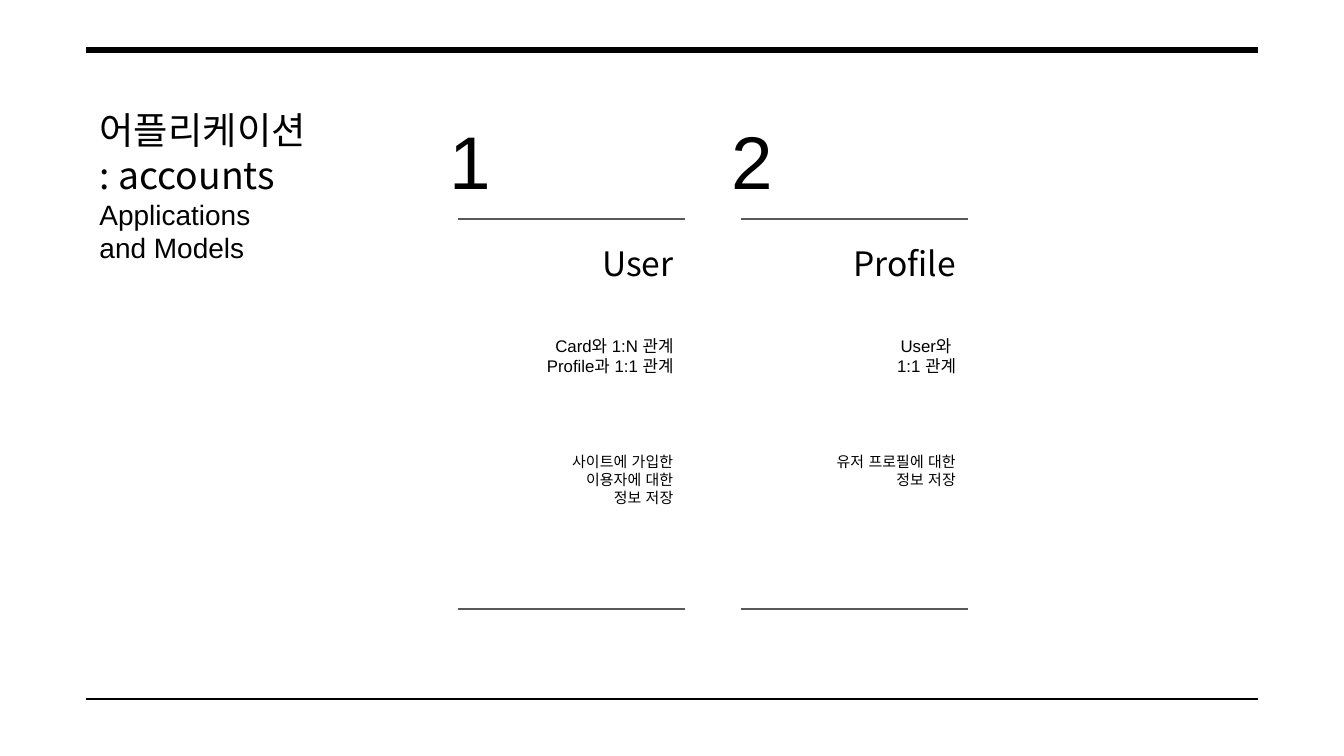
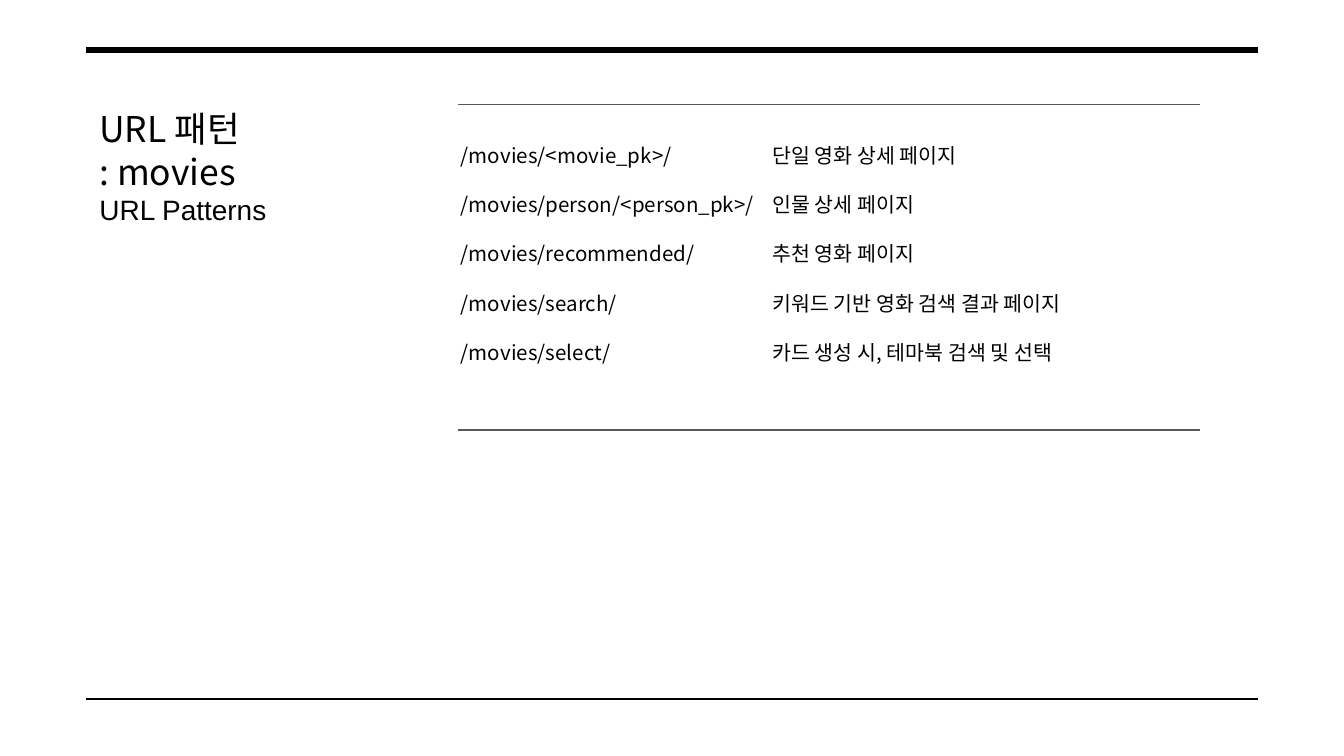
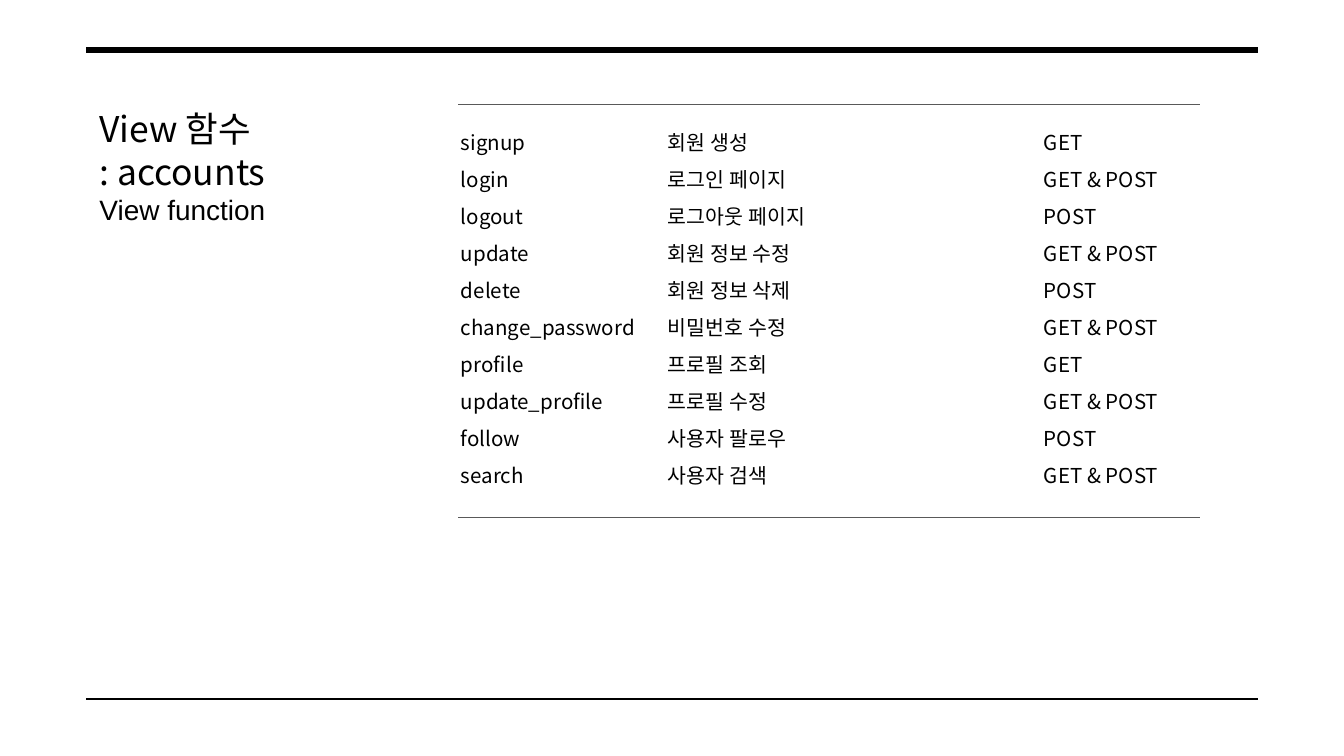
import dataclasses

import lxml.etree
import pptx
import pptx.dml.color
import pptx.enum.shapes
import pptx.enum.text
import pptx.oxml.ns
import pptx.util

Cm = pptx.util.Cm
Pt = pptx.util.Pt
Align = pptx.enum.text.PP_ALIGN


@dataclasses.dataclass(frozen=True)
class Theme:
    ink: str = "000000"
    grey: str = "595959"
    paper: str = "FFFFFF"
    latin: str = "Arial"
    hangul: str = "Noto Sans CJK KR"
    head: int = 19
    sub: int = 15
    digit: int = 40
    name: int = 18
    link: int = 9
    note: int = 8
    item: int = 11
    thin: float = 0.75
    thick: float = 3


class Deck:
    def __init__(self, theme):
        self.theme = theme
        self.file = pptx.Presentation()
        self.file.slide_width = Cm(25.4)
        self.file.slide_height = Cm(14.29)
        self.slide = None

    def page(self, layout, heads, subs, size=None):
        theme = self.theme
        self.slide = self.file.slides.add_slide(self.file.slide_layouts.get_by_name(layout))
        fill = self.slide.background.fill
        fill.solid()
        fill.fore_color.rgb = pptx.dml.color.RGBColor.from_string(theme.paper)
        self.rule(1.63, 23.77, 13.21, theme.ink)
        self.rule(1.63, 23.77, 0.94, theme.ink, theme.thick)
        title = self.slide.shapes.title
        self.place(title, 1.63, 1.78, 6.83, 2.82)
        rows = [(text, size or theme.head, theme.hangul) for text in heads]
        rows += [(text, theme.sub, theme.latin) for text in subs]
        self.fill(title, rows)

    def rule(self, left, right, top, color, width=None):
        line = self.slide.shapes.add_connector(
            pptx.enum.shapes.MSO_CONNECTOR.STRAIGHT, Cm(left), Cm(top), Cm(right), Cm(top))
        line.line.color.rgb = pptx.dml.color.RGBColor.from_string(color)
        line.line.width = Pt(width or self.theme.thin)
        lxml.etree.SubElement(line._element.spPr, pptx.oxml.ns.qn("a:effectLst"))

    def place(self, shape, left, top, width, height):
        shape.left, shape.top = Cm(left), Cm(top)
        shape.width, shape.height = Cm(width), Cm(height)

    def fill(self, shape, rows, align=Align.LEFT, space=1.0):
        frame = shape.text_frame
        frame.word_wrap = True
        frame.auto_size = pptx.enum.text.MSO_AUTO_SIZE.NONE
        frame.vertical_anchor = pptx.enum.text.MSO_ANCHOR.TOP
        frame.margin_left = frame.margin_right = Cm(0.25)
        frame.margin_top = frame.margin_bottom = Cm(0.25)
        for place, (text, size, font) in enumerate(rows):
            para = frame.add_paragraph() if place else frame.paragraphs[0]
            props = para._p.get_or_add_pPr()
            props.set("marL", "0")
            props.set("indent", "0")
            lxml.etree.SubElement(props, pptx.oxml.ns.qn("a:buNone"))
            para.alignment = align
            para.line_spacing = space
            para.space_before = para.space_after = Pt(0)
            self.run(para, text, size, font)

    def run(self, para, text, size, font):
        run = para.add_run()
        run.text = text
        run.font.size = Pt(size)
        run.font.bold = False
        run.font.color.rgb = pptx.dml.color.RGBColor.from_string(self.theme.ink)
        run.font.name = font
        east = lxml.etree.Element(pptx.oxml.ns.qn("a:ea"), typeface=font)
        run._r.get_or_add_rPr().find(pptx.oxml.ns.qn("a:latin")).addnext(east)

    def text(self, area, lines, size, font, align=Align.RIGHT):
        box = self.slide.shapes.add_textbox(*map(Cm, area))
        self.fill(box, [(line, size, font) for line in lines], align)

    def card(self, left, digit, name, links, notes, wide):
        theme = self.theme
        edge = left + 4.32
        self.text((left - 0.42, 1.93, 1.96, 2.49), [digit], theme.digit, theme.latin, Align.LEFT)
        self.text((edge - 2.79, 4.34, 2.79, 1.42), [name], theme.name, theme.hangul)
        self.text((edge - wide, 6.1, wide, 1.22), links, theme.link, theme.latin)
        self.text((edge - 4.19, 8.31, 4.19, 3.91), notes, theme.note, theme.latin)
        for top in (4.14, 11.51):
            self.rule(left, left + 4.29, top, theme.grey)

    def lists(self, cols, space, base):
        theme = self.theme
        slots = [slot for slot in self.slide.placeholders if slot.placeholder_format.idx]
        for slot, (left, width, lines) in zip(slots, cols):
            self.place(slot, left, 1.98, width, 1.42)
            self.fill(slot, [(line, theme.item, theme.hangul) for line in lines], space=space)
        for slot in slots[len(cols):]:
            slot._element.getparent().remove(slot._element)
        for top in (1.98, base):
            self.rule(8.66, 22.68, top, theme.grey)


def main():
    deck = Deck(Theme())

    deck.page("Title Only", ["어플리케이션", ": accounts"], ["Applications", "and Models"], 20)
    cards = [
        ("1", "User", ["Card와 1:N 관계", "Profile과 1:1 관계"],
         ["사이트에 가입한", "이용자에 대한", "정보 저장"], 3.81),
        ("2", "Profile", ["User와 ", "1:1 관계"],
         ["유저 프로필에 대한", "정보 저장"], 4.19),
    ]
    for place, card in enumerate(cards):
        deck.card(8.66 + 5.34 * place, *card)

    deck.page("Two Content", ["URL 패턴", ": movies"], ["URL Patterns"])
    urls = [
        ("/movies/<movie_pk>/", "단일 영화 상세 페이지"),
        ("/movies/person/<person_pk>/", "인물 상세 페이지"),
        ("/movies/recommended/", "추천 영화 페이지"),
        ("/movies/search/", "키워드 기반 영화 검색 결과 페이지"),
        ("/movies/select/", "카드 생성 시, 테마북 검색 및 선택"),
    ]
    links, notes = zip(*urls)
    deck.lists([(8.46, 13.23, links), (14.35, 13.23, notes)], 2.0, 8.13)

    deck.page("Comparison", ["View 함수", ": accounts"], ["View function"])
    views = [
        ("signup", "회원 생성", "GET"),
        ("login", "로그인 페이지", "GET & POST"),
        ("logout", "로그아웃 페이지", "POST"),
        ("update", "회원 정보 수정", "GET & POST"),
        ("delete", "회원 정보 삭제", "POST"),
        ("change_password", "비밀번호 수정", "GET & POST"),
        ("profile", "프로필 조회", "GET"),
        ("update_profile", "프로필 수정", "GET & POST"),
        ("follow", "사용자 팔로우", "POST"),
        ("search", "사용자 검색", "GET & POST"),
    ]
    names, notes, verbs = zip(*views)
    deck.lists([(8.46, 13.23, names), (12.37, 8.97, notes), (19.48, 3.15, verbs)], 1.5, 9.78)

    deck.file.save("out.pptx")


if __name__ == "__main__":
    main()
